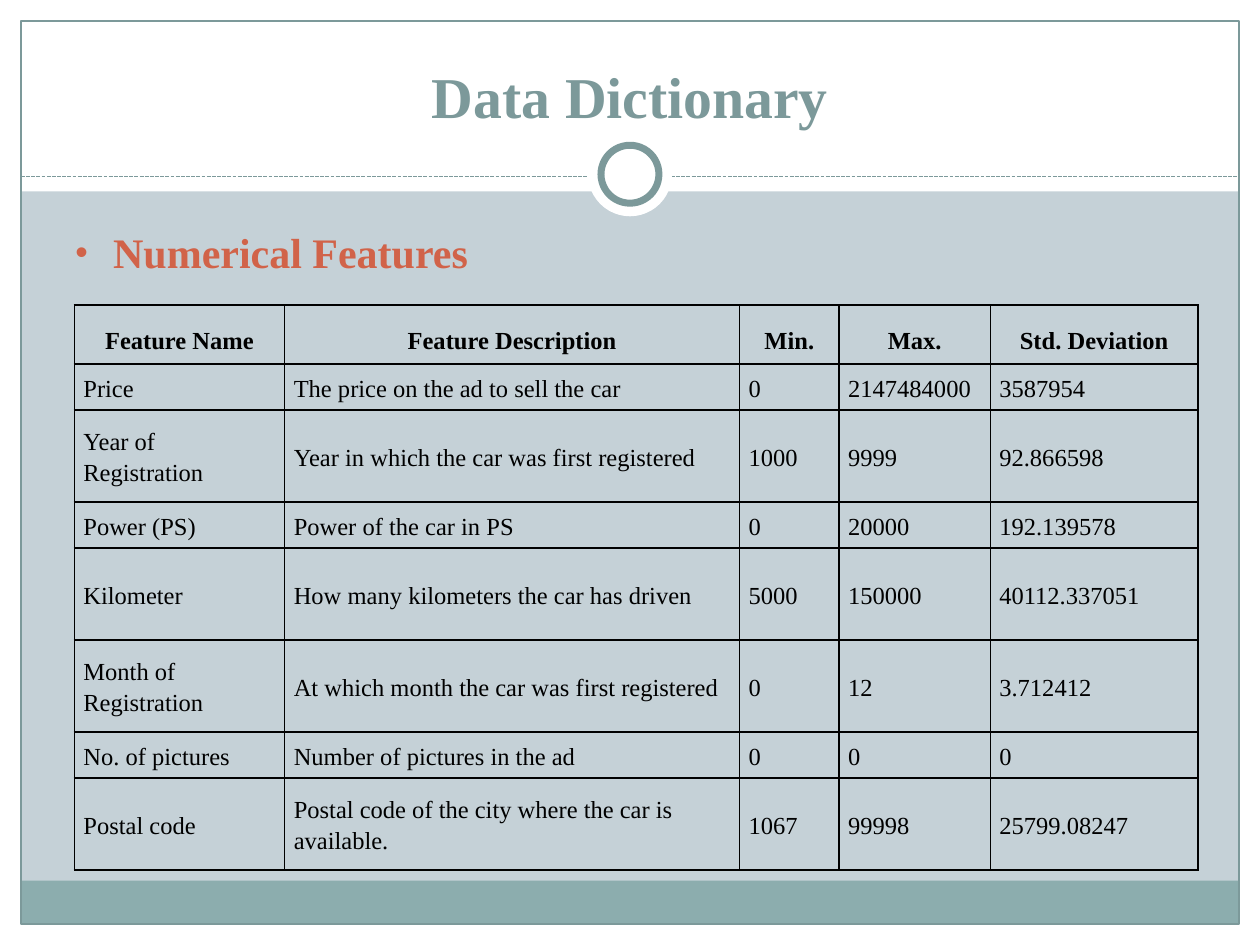
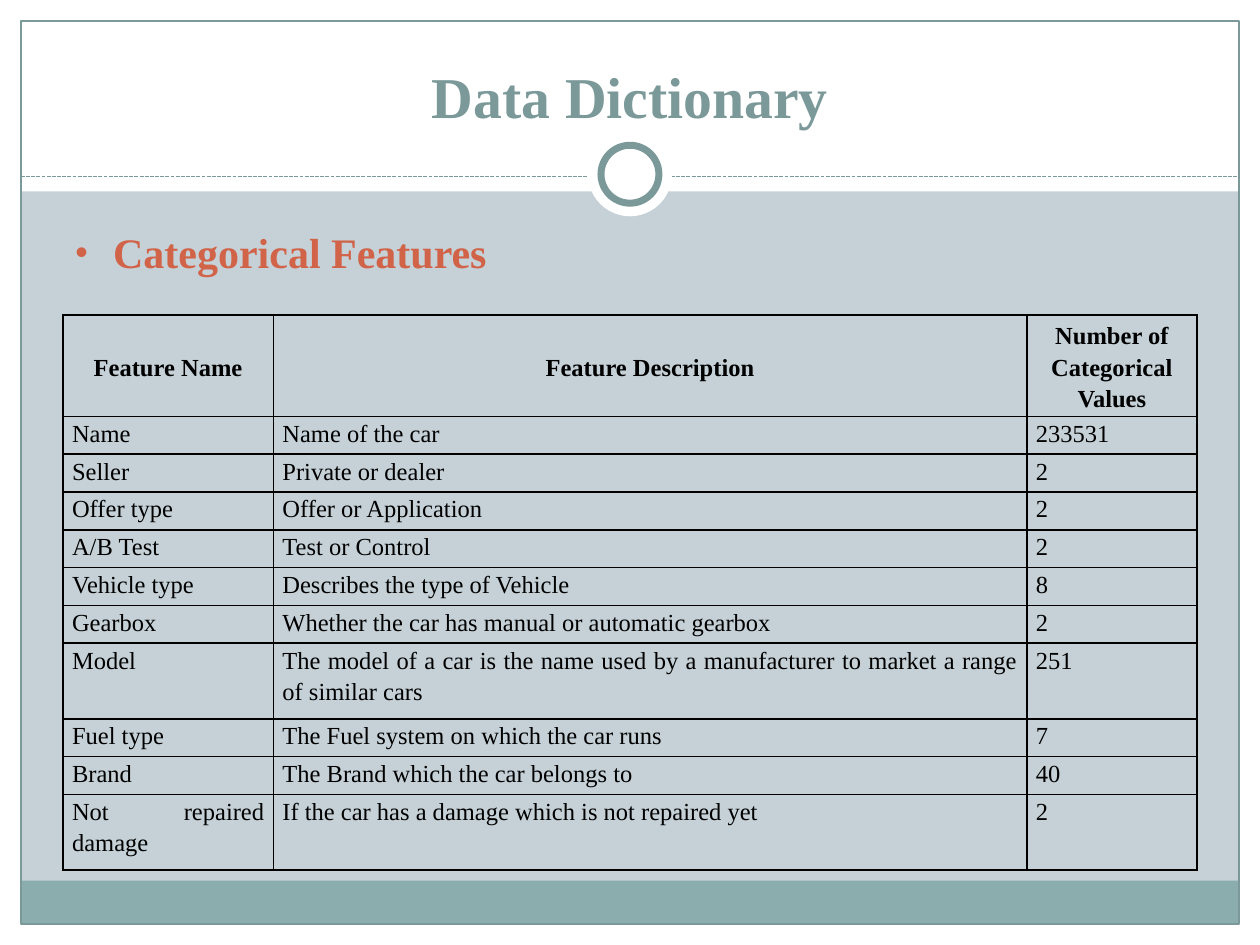
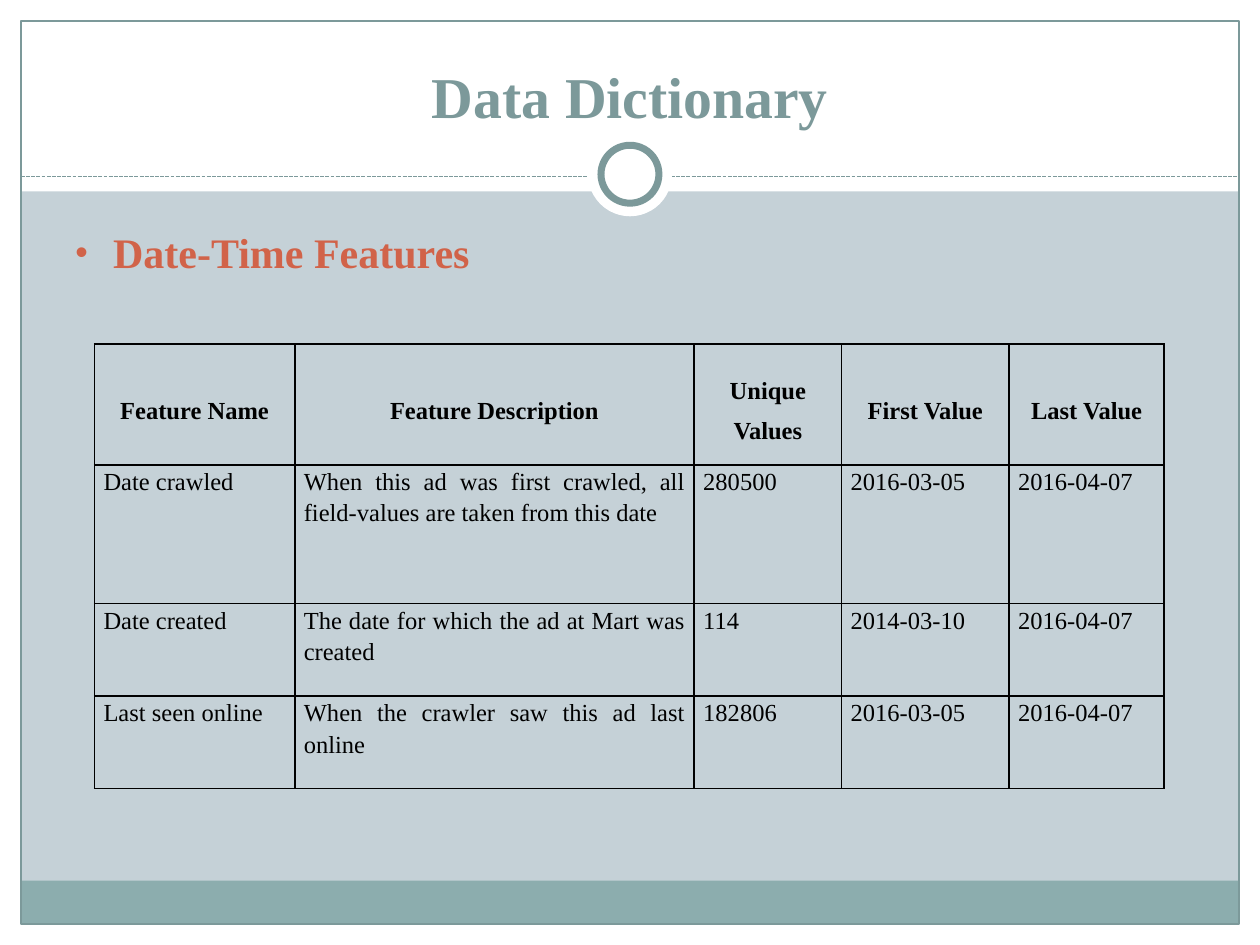
"""Build three data dictionary slides for a used-car dataset."""
import dataclasses

import pptx
import pptx.dml.color
import pptx.enum.dml
import pptx.enum.shapes
import pptx.enum.text
import pptx.oxml
import pptx.oxml.ns
import pptx.util

Pt = pptx.util.Pt
RGB = pptx.dml.color.RGBColor.from_string
SHAPE = pptx.enum.shapes.MSO_SHAPE
ALIGN = pptx.enum.text.PP_ALIGN
ANCHOR = pptx.enum.text.MSO_ANCHOR


@dataclasses.dataclass(frozen=True)
class Theme:
    font: str = "Times New Roman"
    paper: str = "C5D1D7"
    white: str = "FFFFFF"
    band: str = "8CADAE"
    accent: str = "7C999A"
    heading: str = "D16349"
    ink: str = "000000"
    title_size: float = 33
    heading_size: float = 24
    table_size: float = 14
    hairline: float = 0.75
    ring: float = 4
    border: float = 1


theme = Theme()
deck = pptx.Presentation()
deck.slide_width = pptx.util.Inches(10)
deck.slide_height = pptx.util.Inches(7.5)
COLUMNS, ROWS = 60, 45
UNIT = deck.slide_width / COLUMNS


def grid(*units):
    return [round(unit * UNIT) for unit in units]


def write(paragraph, words, size, color, bold):
    run = paragraph.add_run()
    run.text = words
    run.font.name = theme.font
    run.font.size = Pt(size)
    run.font.bold = bold
    run.font.color.rgb = RGB(color)


# fmt: off
frame_parts = [
    (SHAPE.RECTANGLE, (0, ROWS - 1, COLUMNS, 1), theme.white, None),
    (SHAPE.RECTANGLE, (0, 0, COLUMNS, 9.12), theme.white, None),
    (SHAPE.RECTANGLE, (0, 0, 1, ROWS), theme.white, None),
    (SHAPE.RECTANGLE, (COLUMNS - 1, 0, 1, ROWS), theme.white, None),
    (SHAPE.RECTANGLE, (1, 41.94, COLUMNS - 2, 2.06), theme.band, None),
    (SHAPE.RECTANGLE, (1, 1, COLUMNS - 2, ROWS - 2), None, theme.hairline),
    (SHAPE.OVAL, (28, 6.3, 4, 4), theme.white, None),
    (SHAPE.OVAL, (28.62, 6.92, 2.76, 2.76), theme.white, theme.ring),
]
# fmt: on

sections = [
    {
        "heading": "Numerical Features",
        "corner": (3.54, 14.52),
        "widths": (10.02, 21.66, 4.74, 7.2, 9.9),
        "heights": (2.82, 2.19, 4.38, 2.19, 4.38, 4.38, 2.19, 4.38),
        "header_spacing": 1.5,
        "align": ALIGN.LEFT,
        "anchor": ANCHOR.MIDDLE,
        "records": [
            ("Feature Name", "Feature Description", "Min.", "Max.", "Std. Deviation"),
            ("Price", "The price on the ad to sell the car", "0", "2147484000", "3587954"),
            ("Year of Registration", "Year in which the car was first registered", "1000", "9999", "92.866598"),
            ("Power (PS)", "Power of the car in PS", "0", "20000", "192.139578"),
            ("Kilometer", "How many kilometers the car has driven", "5000", "150000", "40112.337051"),
            ("Month of Registration", "At which month the car was first registered", "0", "12", "3.712412"),
            ("No. of pictures", "Number of pictures in the ad", "0", "0", "0"),
            ("Postal code", "Postal code of the city where the car is available.", "1067", "99998", "25799.08247"),
        ],
    },
    {
        "heading": "Categorical Features",
        "corner": (3, 15),
        "widths": (10.02, 35.88, 8.1),
        "heights": (3.6, 1.8, 1.8, 1.8, 1.8, 1.8, 1.8, 3.6, 1.8, 1.8, 3.6),
        "header_spacing": 1.15,
        "align": ALIGN.JUSTIFY,
        "anchor": ANCHOR.TOP,
        "records": [
            ("Feature Name", "Feature Description", "Number of\nCategorical Values"),
            ("Name", "Name of the car", "233531"),
            ("Seller", "Private or dealer", "2"),
            ("Offer type", "Offer or Application", "2"),
            ("A/B Test", "Test or Control", "2"),
            ("Vehicle type", "Describes the type of Vehicle", "8"),
            ("Gearbox", "Whether the car has manual or automatic gearbox", "2"),
            ("Model", "The model of a car is the name used by a manufacturer to market a range of similar cars", "251"),
            ("Fuel type", "The Fuel system on which the car runs", "7"),
            ("Brand", "The Brand which the car belongs to", "40"),
            ("Not repaired damage", "If the car has a damage which is not repaired yet", "2"),
        ],
    },
    {
        "heading": "Date-Time Features",
        "corner": (4.5, 16.38),
        "widths": (9.54, 19.02, 7.02, 7.98, 7.38),
        "heights": (5.76, 6.6, 4.41, 4.41),
        "header_spacing": 1.5,
        "align": ALIGN.JUSTIFY,
        "anchor": ANCHOR.TOP,
        "records": [
            ("Feature Name", "Feature Description", "Unique Values", "First Value", "Last Value"),
            ("Date crawled", "When this ad was first crawled, all field-values are taken from this date",
             "280500", "2016-03-05", "2016-04-07"),
            ("Date created", "The date for which the ad at Mart was created", "114", "2014-03-10", "2016-04-07"),
            ("Last seen online", "When the crawler saw this ad last online", "182806", "2016-03-05", "2016-04-07"),
        ],
    },
]

for section in sections:
    slide = deck.slides.add_slide(deck.slide_layouts[6])
    slide.background.fill.solid()
    slide.background.fill.fore_color.rgb = RGB(theme.paper)

    for index, (outline, place, fill, line_width) in enumerate(frame_parts):
        if index == 6:
            divider = slide.shapes.add_connector(
                pptx.enum.shapes.MSO_CONNECTOR.STRAIGHT, *grid(1, 8.4, COLUMNS - 1, 8.4))
            divider.line.color.rgb = RGB(theme.accent)
            divider.line.width = Pt(theme.hairline)
            divider.line.dash_style = pptx.enum.dml.MSO_LINE.SQUARE_DOT
            divider.element.spPr.append(pptx.oxml.parse_xml(
                f'<a:effectLst {pptx.oxml.ns.nsdecls("a")}/>'))
        part = slide.shapes.add_shape(outline, *grid(*place))
        part.shadow.inherit = False
        if fill:
            part.fill.solid()
            part.fill.fore_color.rgb = RGB(fill)
        else:
            part.fill.background()
        if line_width:
            part.line.color.rgb = RGB(theme.accent)
            part.line.width = Pt(line_width)
        else:
            part.line.fill.background()

    title = slide.shapes.add_textbox(*grid(2, 1.5, COLUMNS - 4, 5)).text_frame
    title.word_wrap = True
    title.vertical_anchor = ANCHOR.BOTTOM
    title.paragraphs[0].alignment = ALIGN.CENTER
    write(title.paragraphs[0], "Data Dictionary", theme.title_size, theme.accent, True)

    heading = slide.shapes.add_textbox(*grid(3, 10.5, COLUMNS - 6, 4)).text_frame
    heading.word_wrap = True
    bullet_line = heading.paragraphs[0]
    bullet_line.space_before = Pt(theme.heading_size * 0.2)
    write(bullet_line, section["heading"], theme.heading_size, theme.heading, True)
    indent = grid(1.8)[0]
    bullet_format = bullet_line._p.get_or_add_pPr()
    bullet_format.set("marL", str(indent))
    bullet_format.set("indent", str(-indent))
    for bullet_xml in (
        f'<a:buClr %s><a:srgbClr val="{theme.heading}"/></a:buClr>',
        '<a:buSzPct %s val="85000"/>',
        '<a:buFont %s typeface="Arial"/>',
        '<a:buChar %s char="•"/>',
    ):
        bullet_format.append(pptx.oxml.parse_xml(bullet_xml % pptx.oxml.ns.nsdecls("a")))

    records, widths, heights = section["records"], section["widths"], section["heights"]
    features = slide.shapes.add_table(
        len(records), len(widths), *grid(*section["corner"], sum(widths), sum(heights))).table
    features.horz_banding = False
    for column, width in zip(features.columns, grid(*widths)):
        column.width = width
    for row, height in zip(features.rows, grid(*heights)):
        row.height = height

    for row_index, record in enumerate(records):
        is_header = row_index == 0
        for column_index, entry in enumerate(record):
            cell = features.cell(row_index, column_index)
            cell.margin_left = cell.margin_right = grid(0.43)[0]
            cell.margin_top = cell.margin_bottom = 0
            cell.vertical_anchor = ANCHOR.MIDDLE if is_header else section["anchor"]
            for side in "LRTB":
                cell._tc.get_or_add_tcPr().append(pptx.oxml.parse_xml(
                    f'<a:ln{side} {pptx.oxml.ns.nsdecls("a")} w="{Pt(theme.border)}"><a:solidFill>'
                    f'<a:srgbClr val="{theme.ink}"/></a:solidFill></a:ln{side}>'))
            cell.fill.background()
            lines = entry.split("\n")
            for line_index, words in enumerate(lines):
                text = cell.text_frame
                paragraph = text.add_paragraph() if line_index else text.paragraphs[0]
                paragraph.alignment = ALIGN.CENTER if is_header else section["align"]
                paragraph.line_spacing = section["header_spacing"] if is_header else 1.15
                if line_index == len(lines) - 1:
                    paragraph.space_after = Pt(6 if is_header else 10)
                write(paragraph, words, theme.table_size, theme.ink, is_header)

deck.save("out.pptx")
